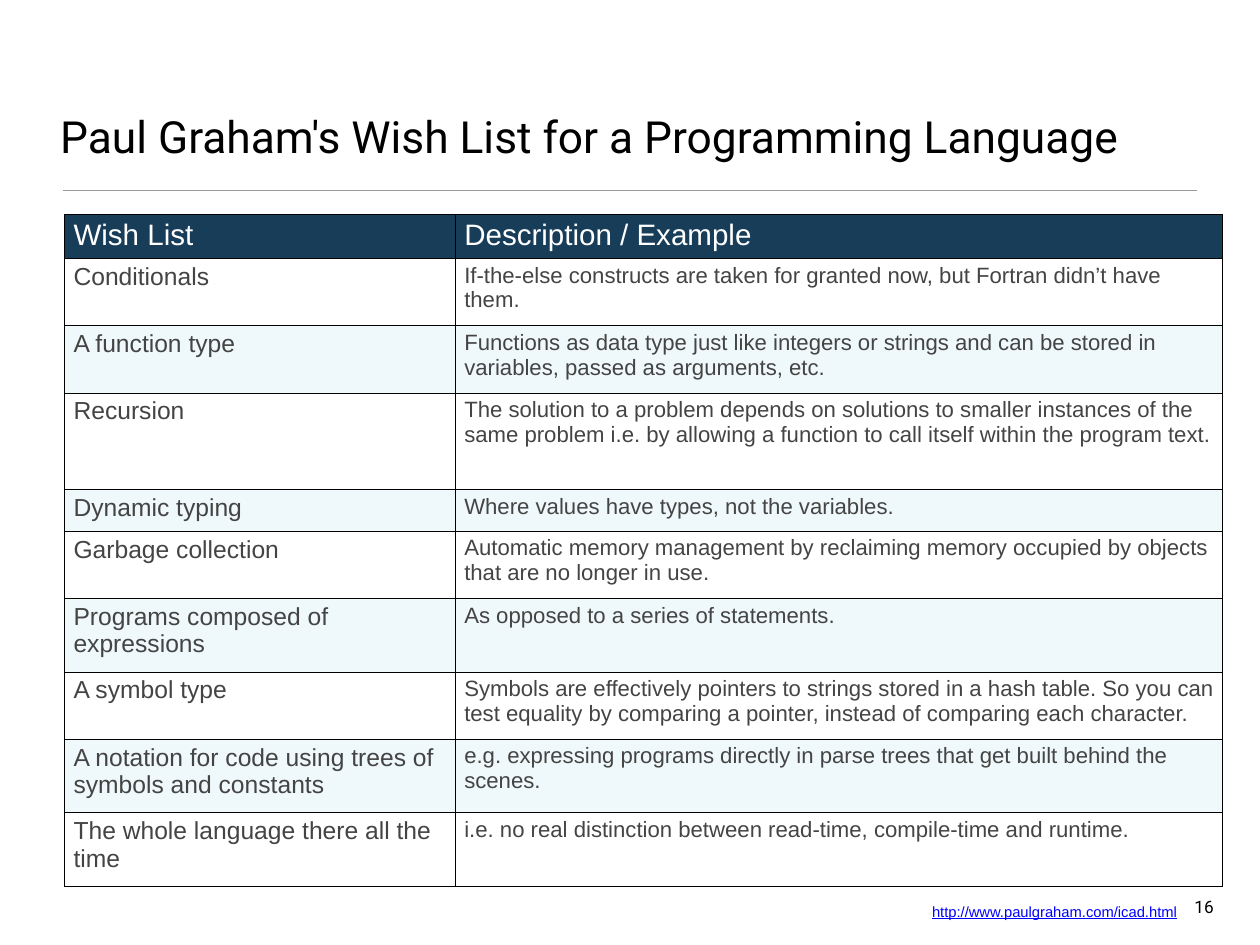
from lxml import etree
from pptx import Presentation
from pptx.dml.color import RGBColor
from pptx.enum.shapes import MSO_CONNECTOR
from pptx.enum.text import MSO_ANCHOR as Anchor, PP_ALIGN as Align
from pptx.oxml import parse_xml
from pptx.oxml.ns import nsdecls, qn
from pptx.util import Inches, Pt

COLUMN_WIDTHS = [4.41, 8.66]
ROW_HEIGHTS = [0.47, 0.76, 0.76, 1.09, 0.47, 0.76, 0.83, 0.76, 0.83, 0.83]
WISHES = [
    ("Wish List", "Description / Example"),
    ("Conditionals",
     "If-the-else constructs are taken for granted now, but Fortran didn’t have them."),
    ("A function type",
     "Functions as data type just like integers or strings and can be stored in "
     "variables, passed as arguments, etc."),
    ("Recursion",
     "The solution to a problem depends on solutions to smaller instances of the same "
     "problem i.e. by allowing a function to call itself within the program text."),
    ("Dynamic typing", "Where values have types, not the variables."),
    ("Garbage collection",
     "Automatic memory management by reclaiming memory occupied by objects that are "
     "no longer in use."),
    ("Programs composed of expressions", "As opposed to a series of statements."),
    ("A symbol type",
     "Symbols are effectively pointers to strings stored in a hash table. So you can "
     "test equality by comparing a pointer, instead of comparing each character."),
    ("A notation for code using trees of symbols and constants",
     "e.g. expressing programs directly in parse trees that get built behind the scenes."),
    ("The whole language there all the time",
     "i.e. no real distinction between read-time, compile-time and runtime."),
]


def color(value):
    return RGBColor.from_string(value)


def write(frame, text, size, font="Arial", ink="000000", align=Align.LEFT, underline=False):
    paragraph = frame.paragraphs[0]
    paragraph.alignment = align
    run = paragraph.add_run()
    run.text = text
    run.font.size = Pt(size)
    run.font.name = font
    run.font.underline = underline
    run.font.color.rgb = color(ink)


class WishListSlide:
    heading_font = "Roboto"
    header_fill, band_fill = "173D59", "EFF8FA"
    header_ink, body_ink = "FFFFFF", "444444"
    border, rule_color = "000000", "9A9A9A"

    def __init__(self, presentation):
        self.shapes = presentation.slides.add_slide(presentation.slide_layouts[6]).shapes

    def rule(self, left, right, y):
        line = self.shapes.add_connector(
            MSO_CONNECTOR.STRAIGHT, Inches(left), Inches(y), Inches(right), Inches(y))
        line.line.color.rgb = color(self.rule_color)
        line.line.width = Pt(1)
        etree.SubElement(line._element.spPr, qn("a:effectLst"))

    def text(self, words, left, top, width, height, inset=None, anchor=Anchor.TOP,
             wrap=True, **style):
        frame = self.shapes.add_textbox(*map(Inches, (left, top, width, height))).text_frame
        frame.word_wrap = wrap
        frame.vertical_anchor = anchor
        if inset is not None:
            frame.margin_left = frame.margin_right = Inches(inset)
            frame.margin_top = frame.margin_bottom = Inches(inset)
        write(frame, words, **style)

    def outline(self, cell):
        """Draw the four borders; must run before the cell is filled."""
        properties = cell._tc.get_or_add_tcPr()
        for side in "LRTB":
            properties.append(parse_xml(
                f'<a:ln{side} {nsdecls("a")} w="{Pt(1)}"><a:solidFill>'
                f'<a:srgbClr val="{self.border}"/></a:solidFill></a:ln{side}>'))

    def table(self, rows, left, top, widths, heights):
        table = self.shapes.add_table(
            len(rows), len(widths), Inches(left), Inches(top),
            Inches(sum(widths)), Inches(sum(heights))).table
        table.first_row = table.horz_banding = False
        for column, width in zip(table.columns, widths):
            column.width = Inches(width)
        for r, (wish, height) in enumerate(zip(rows, heights)):
            table.rows[r].height = Inches(height)
            for c, words in enumerate(wish):
                cell = table.cell(r, c)
                self.outline(cell)
                if r % 2 and r:
                    cell.fill.background()
                if r == 0:
                    fill, ink, size = self.header_fill, self.header_ink, 24
                else:
                    fill, ink, size = self.band_fill, self.body_ink, (20, 18)[c]
                if r % 2 == 0 and r != 0 or r == 0:
                    cell.fill.solid()
                    cell.fill.fore_color.rgb = color(fill)
                write(cell.text_frame, words, size, ink=ink)


def main():
    presentation = Presentation()
    presentation.slide_width = Inches(14.22)
    presentation.slide_height = Inches(10.67)
    slide = WishListSlide(presentation)
    slide.rule(0.71, 13.51, 2.15)
    slide.text("Paul Graham's Wish List for a Programming Language", 0.62, 0.36, 12.97, 1.53,
               inset=0.06, anchor=Anchor.BOTTOM, size=36, font=slide.heading_font)
    slide.text("16", 13.42, 10.06, 0.34, 0.33, inset=0.06, wrap=False,
               size=14, font=slide.heading_font, align=Align.RIGHT)
    slide.text("http://www.paulgraham.com/icad.html", 10.42, 10.14, 3.55, 0.3,
               size=12, ink="0000FF", underline=True)
    slide.table(WISHES, 0.73, 2.42, COLUMN_WIDTHS, ROW_HEIGHTS)
    presentation.save("out.pptx")


if __name__ == "__main__":
    main()
